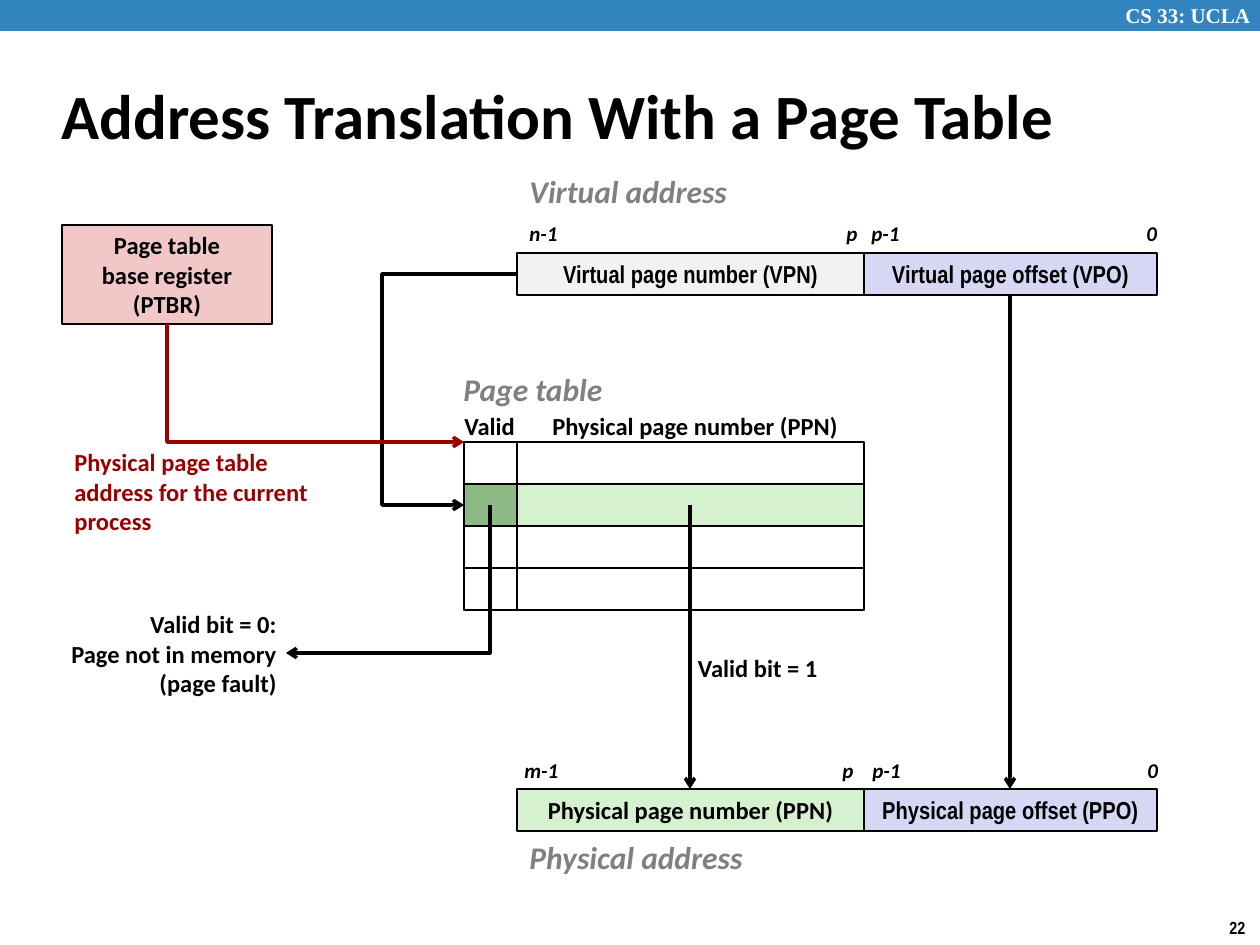
from lxml.etree import SubElement
from pptx import Presentation
from pptx.dml.color import RGBColor
from pptx.enum.shapes import MSO_CONNECTOR, MSO_SHAPE
from pptx.enum.text import MSO_ANCHOR, MSO_AUTO_SIZE, PP_ALIGN
from pptx.oxml.ns import qn
from pptx.util import Emu, Pt

PX = 914400 // 126  # EMU per px

BLACK = RGBColor(0x00, 0x00, 0x00)
WHITE = RGBColor(0xFF, 0xFF, 0xFF)
BLUE = RGBColor(0x32, 0x84, 0xBF)
GRAY = RGBColor(0x80, 0x80, 0x80)
RED = RGBColor(0x99, 0x00, 0x00)
PINK = RGBColor(0xF1, 0xC7, 0xC7)
LIGHT = RGBColor(0xF2, 0xF2, 0xF2)
LILAC = RGBColor(0xD6, 0xD6, 0xF5)
GREEN = RGBColor(0xD5, 0xF1, 0xCF)
DARK_GREEN = RGBColor(0x8D, 0xBA, 0x84)

SANS, NARROW, SERIF = "Calibri", "Arial Narrow", "Times New Roman"
LEFT, CENTER, RIGHT = PP_ALIGN.LEFT, PP_ALIGN.CENTER, PP_ALIGN.RIGHT

# Shared grid: valid column, page number column, offset column
X_VALID, X_NUMBER, X_OFFSET, X_END = 464, 517, 864, 1157
ROW_H = 42
Y_VIRTUAL, Y_TABLE, Y_PHYSICAL = 253, 442, 789
HIT_ROW, ROWS = 1, 4
Y_HIT = Y_TABLE + HIT_ROW * ROW_H + ROW_H // 2
NUMBER_MID = (X_NUMBER + X_OFFSET) // 2
OFFSET_MID = (X_OFFSET + X_END) // 2
VALID_MID = (X_VALID + X_NUMBER) // 2

# top, number text, number fill, number font, offset text
ADDRESSES = [
    (Y_VIRTUAL, "Virtual page number (VPN)", LIGHT, NARROW, "Virtual page offset (VPO)"),
    (Y_PHYSICAL, "Physical page number (PPN)", GREEN, SANS, "Physical page offset (PPO)"),
]

# text, left, top, width, height
HEADINGS = [
    ("Virtual address", 517, 166, 224, 50),
    ("Physical address", 517, 832, 241, 50),
    ("Page table", 451, 364, 179, 50),
]

# top, then text and left of each bit label
BIT_LABELS = [
    (214, [("n-1", 517), ("p", 834), ("p-1", 859), ("0", 1134)]),
    (751, [("m-1", 512), ("p", 830), ("p-1", 860), ("0", 1135)]),
]

# text, left, top, width, height, colour, alignment
NOTES = [
    ("Valid", 452, 405, 77, 43, BLACK, LEFT),
    ("Physical page number (PPN)", 540, 405, 312, 43, BLACK, LEFT),
    ("Physical page table\naddress for the current\nprocess", 62, 441, 262, 102, RED, LEFT),
    ("Valid bit = 0:\nPage not in memory\n(page fault)", 55, 603, 234, 102, BLACK, RIGHT),
    ("Valid bit = 1", 683, 647, 147, 43, BLACK, RIGHT),
]

# colour, corner points from tail to arrowhead
ROUTES = [
    (BLACK, [(X_NUMBER, 274), (382, 274), (382, Y_HIT), (X_VALID, Y_HIT)]),
    (BLACK, [(OFFSET_MID, Y_VIRTUAL + ROW_H), (OFFSET_MID, Y_PHYSICAL)]),
    (BLACK, [(NUMBER_MID, Y_HIT), (NUMBER_MID, Y_PHYSICAL)]),
    (BLACK, [(VALID_MID, Y_HIT), (VALID_MID, 653), (286, 653)]),
    (RED, [(167, 324), (167, Y_TABLE), (X_VALID, Y_TABLE)]),
]

prs = Presentation()
prs.slide_width, prs.slide_height = Emu(1260 * PX), Emu(945 * PX)
slide = prs.slides.add_slide(prs.slide_layouts[6])
shapes = slide.shapes


def px(*values):
    return [Emu(v * PX) for v in values]


def write(tf, text, size, font=SANS, color=BLACK, align=LEFT, italic=False):
    tf.text = text
    for p in tf.paragraphs:
        p.alignment = align
        p.font.name, p.font.size = font, Pt(size)
        p.font.bold, p.font.italic = True, italic
        p.font.color.rgb = color


def add_label(text, x, y, w, h, size, **style):
    tf = shapes.add_textbox(*px(x, y, w, h)).text_frame
    tf.word_wrap = False
    tf.auto_size = MSO_AUTO_SIZE.SHAPE_TO_FIT_TEXT
    write(tf, text, size, **style)
    return tf


def add_box(x, y, w, h, fill=None, text="", font=SANS, outlined=True):
    sp = shapes.add_shape(MSO_SHAPE.RECTANGLE, *px(x, y, w, h))
    sp.shadow.inherit = False
    if fill is None:
        sp.fill.background()
    else:
        sp.fill.solid()
        sp.fill.fore_color.rgb = fill
    if outlined:
        sp.line.color.rgb, sp.line.width = BLACK, Pt(1)
    else:
        sp.line.fill.background()
    if text:
        sp.text_frame.vertical_anchor = MSO_ANCHOR.MIDDLE
        write(sp.text_frame, text, 14, font, align=CENTER)


def add_arrow(color, points):
    if len(points) == 2:
        sp = shapes.add_connector(MSO_CONNECTOR.STRAIGHT, *px(*points[0], *points[1]))
    else:
        builder = shapes.build_freeform(*points[0], scale=PX)
        builder.add_line_segments(points[1:], close=False)
        sp = builder.convert_to_shape()
        sp.fill.background()
    sp.line.color.rgb, sp.line.width = color, Pt(2)
    SubElement(sp.line._get_or_add_ln(), qn("a:tailEnd"), type="arrow")
    SubElement(sp._element.spPr, qn("a:effectLst"))


# Header band, page number and title
add_box(0, 0, 1260, 31, BLUE, outlined=False)
header = add_label("CS 33: UCLA", 1113, -4, 147, 38, 12, font=SERIF, color=WHITE)
header.word_wrap = True
header.margin_right = 0
add_label("22", 1217, 911, 43, 34, 10, font=NARROW)
title = add_label("Address Translation With a Page Table", 49, 62, 1046, 105, 36)
title.auto_size = MSO_AUTO_SIZE.NONE
title.word_wrap = True
title.vertical_anchor = MSO_ANCHOR.MIDDLE

# Virtual and physical address bars
for y, number, fill, font, offset in ADDRESSES:
    add_box(X_NUMBER, y, X_OFFSET - X_NUMBER, ROW_H, fill, number, font)
    add_box(X_OFFSET, y, X_END - X_OFFSET, ROW_H, LILAC, offset, NARROW)

# Page table entries
for row in range(ROWS):
    y = Y_TABLE + row * ROW_H
    hit = row == HIT_ROW
    add_box(X_NUMBER, y, X_OFFSET - X_NUMBER, ROW_H, GREEN if hit else None)
    add_box(X_VALID, y, X_NUMBER - X_VALID, ROW_H, DARK_GREEN if hit else None)

# Base register
add_box(62, 225, 210, 99, PINK, "Page table\vbase register\n(PTBR)")

# Arrows
for color, points in ROUTES:
    add_arrow(color, points)

# Labels
for text, *place in HEADINGS:
    add_label(text, *place, 18, color=GRAY, italic=True)
for y, bits in BIT_LABELS:
    for text, x in bits:
        add_label(text, x, y, 42 if len(text) == 1 else 60, 38, 12, italic=True)
for text, x, y, w, h, color, align in NOTES:
    add_label(text, x, y, w, h, 14, color=color, align=align)

prs.save("out.pptx")
